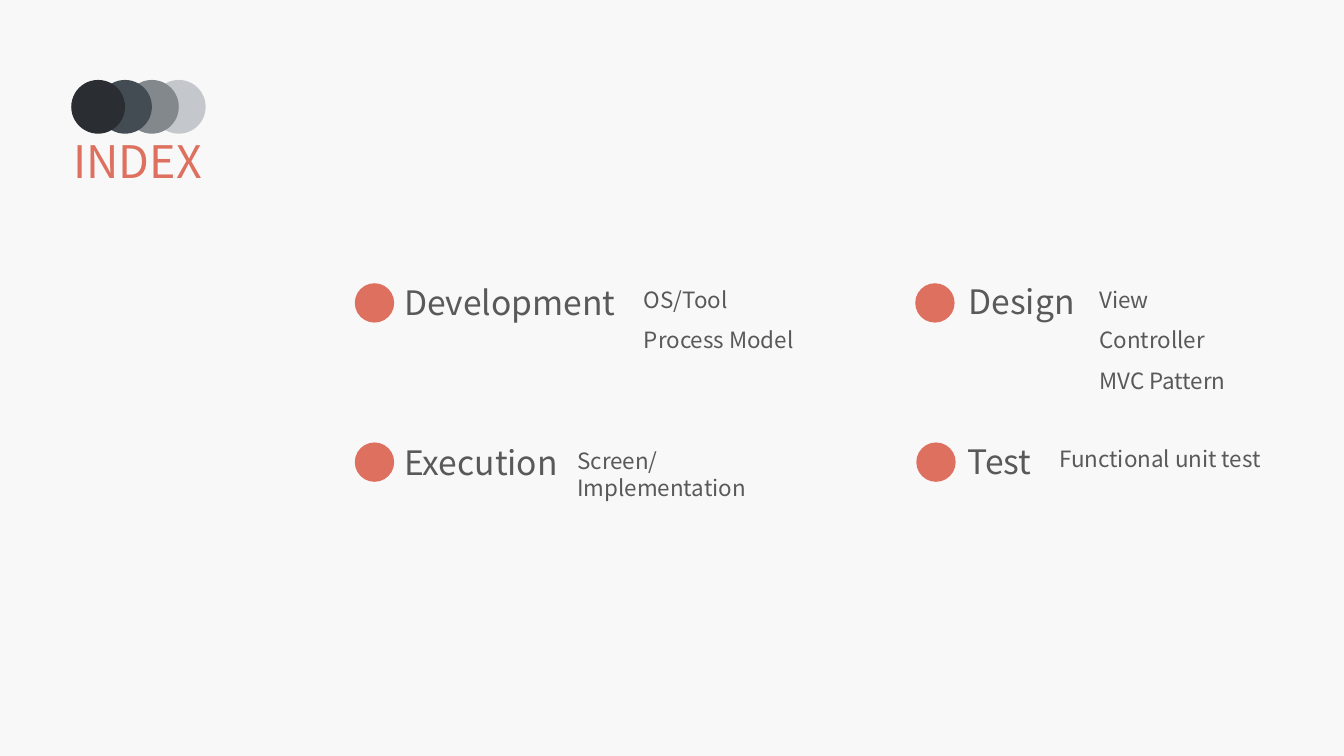
import dataclasses

import pptx
import pptx.dml.color
import pptx.enum.shapes
import pptx.enum.text
import pptx.util

RGBColor = pptx.dml.color.RGBColor
PAPER = RGBColor(0xF8, 0xF8, 0xF8)
CORAL = RGBColor(0xDD, 0x70, 0x5F)
GREY = RGBColor(0x59, 0x59, 0x59)
SHADES = [
    RGBColor(0x2A, 0x2D, 0x31),
    RGBColor(0x43, 0x4C, 0x52),
    RGBColor(0x83, 0x88, 0x8D),
    RGBColor(0xC4, 0xC7, 0xCB),
]
FONT = "Noto Sans CJK KR"
WIDE = pptx.util.Inches(13.333)
HIGH = pptx.util.Inches(7.5)

# All places and lengths are percent of the slide's width or height.
DOT = 2.93
NAME_H = 6.67
NOTE_H = 4.93
NOTE_STEP = 5.33
LOGO_X, LOGO_Y, LOGO_D, LOGO_STEP = 5.3, 10.57, 4, 2


@dataclasses.dataclass
class Box:
    """Place and width of a line of text."""
    x: float
    y: float
    w: float


@dataclasses.dataclass
class Topic:
    """An index entry: dot, name and notes."""
    dot_x: float
    dot_y: float
    name: str
    head: Box
    notes: list[str]
    side: Box


TOPICS = [
    Topic(26.4, 37.47, "Development", Box(29.33, 36.67, 17.4),
          ["OS/Tool", "Process Model"], Box(47.18, 37.2, 13.2)),
    Topic(26.4, 58.53, "Execution", Box(29.33, 57.73, 13.13),
          ["Screen/Implementation"], Box(42.23, 58.53, 19.85)),
    Topic(68.1, 37.47, "Design", Box(71.33, 36.53, 11.48),
          ["View", "Controller", "MVC Pattern"], Box(81.08, 37.2, 11.48)),
    Topic(68.18, 58.53, "Test", Box(71.25, 57.6, 11.48),
          ["Functional unit test"], Box(78.08, 58.27, 17.1)),
]


def across(share: float) -> int:
    """Turn percent of the width into a length."""
    return round(WIDE * share / 100)


def down(share: float) -> int:
    """Turn percent of the height into a length."""
    return round(HIGH * share / 100)


def add_disc(slide, x: float, y: float, size: float, shade: RGBColor) -> None:
    """Draw a plain filled circle."""
    disc = slide.shapes.add_shape(
        pptx.enum.shapes.MSO_SHAPE.OVAL,
        across(x), down(y), across(size), across(size))
    disc.shadow.inherit = False
    disc.fill.solid()
    disc.fill.fore_color.rgb = shade
    disc.line.fill.background()


def add_text(slide, text: str, box: Box, high: float, size: int,
             shade: RGBColor = GREY) -> None:
    """Write one wrapping paragraph."""
    frame = slide.shapes.add_textbox(
        across(box.x), down(box.y), across(box.w), down(high)).text_frame
    frame.word_wrap = True
    frame.auto_size = pptx.enum.text.MSO_AUTO_SIZE.SHAPE_TO_FIT_TEXT
    run = frame.paragraphs[0].add_run()
    run.text = text
    style = {"name": FONT, "size": pptx.util.Pt(size)}
    for key, value in style.items():
        setattr(run.font, key, value)
    run.font.color.rgb = shade


def add_topic(slide, topic: Topic) -> None:
    """Draw an index entry with its notes one below the other."""
    add_disc(slide, topic.dot_x, topic.dot_y, DOT, CORAL)
    add_text(slide, topic.name, topic.head, NAME_H, 24)
    for row, note in enumerate(topic.notes):
        place = dataclasses.replace(
            topic.side, y=topic.side.y + row * NOTE_STEP)
        add_text(slide, note, place, NOTE_H, 16)


def main() -> None:
    """Build and save the index slide."""
    deck = pptx.Presentation()
    deck.slide_width, deck.slide_height = WIDE, HIGH
    slide = deck.slides.add_slide(deck.slide_layouts[6])
    slide.background.fill.solid()
    slide.background.fill.fore_color.rgb = PAPER
    for step, shade in reversed(list(enumerate(SHADES))):
        add_disc(slide, LOGO_X + step * LOGO_STEP, LOGO_Y, LOGO_D, shade)
    add_text(slide, "INDEX", Box(4.72, 17.07, 11.48), 8.53, 32, CORAL)
    for topic in TOPICS:
        add_topic(slide, topic)
    deck.save("out.pptx")


main()
